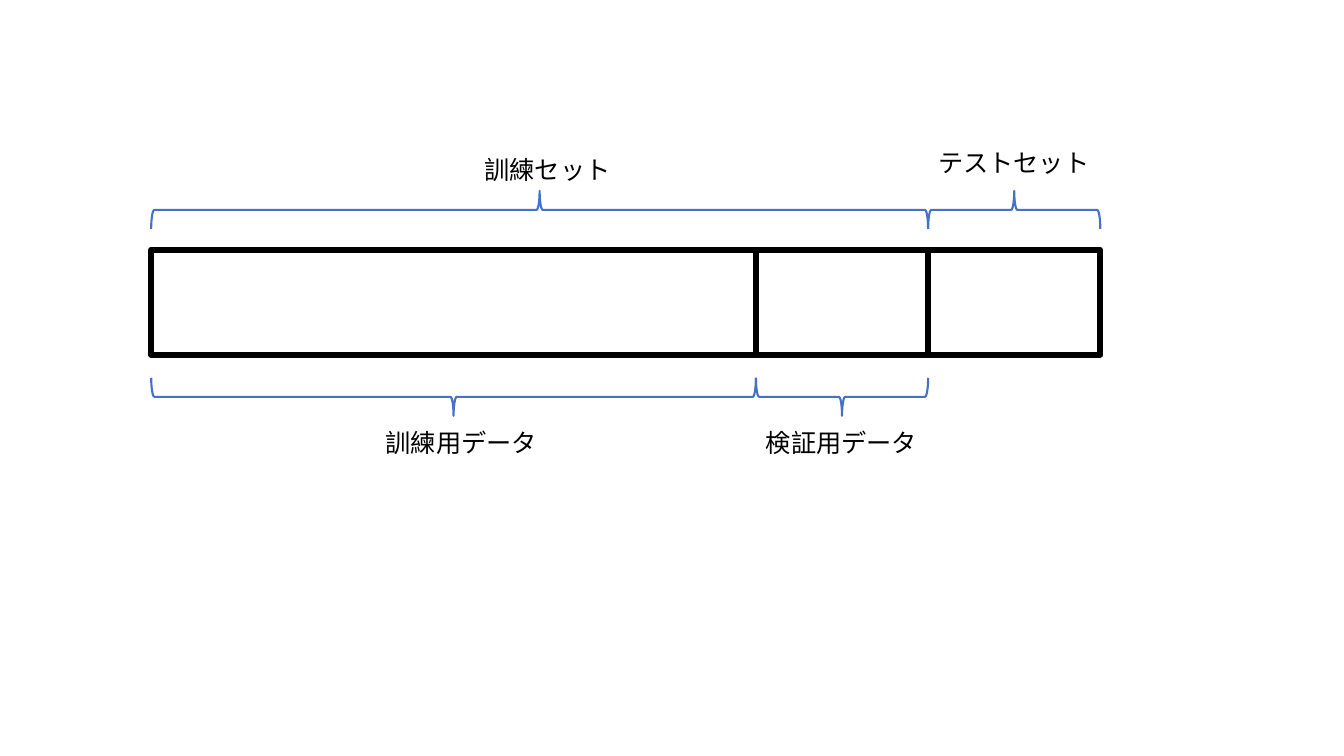
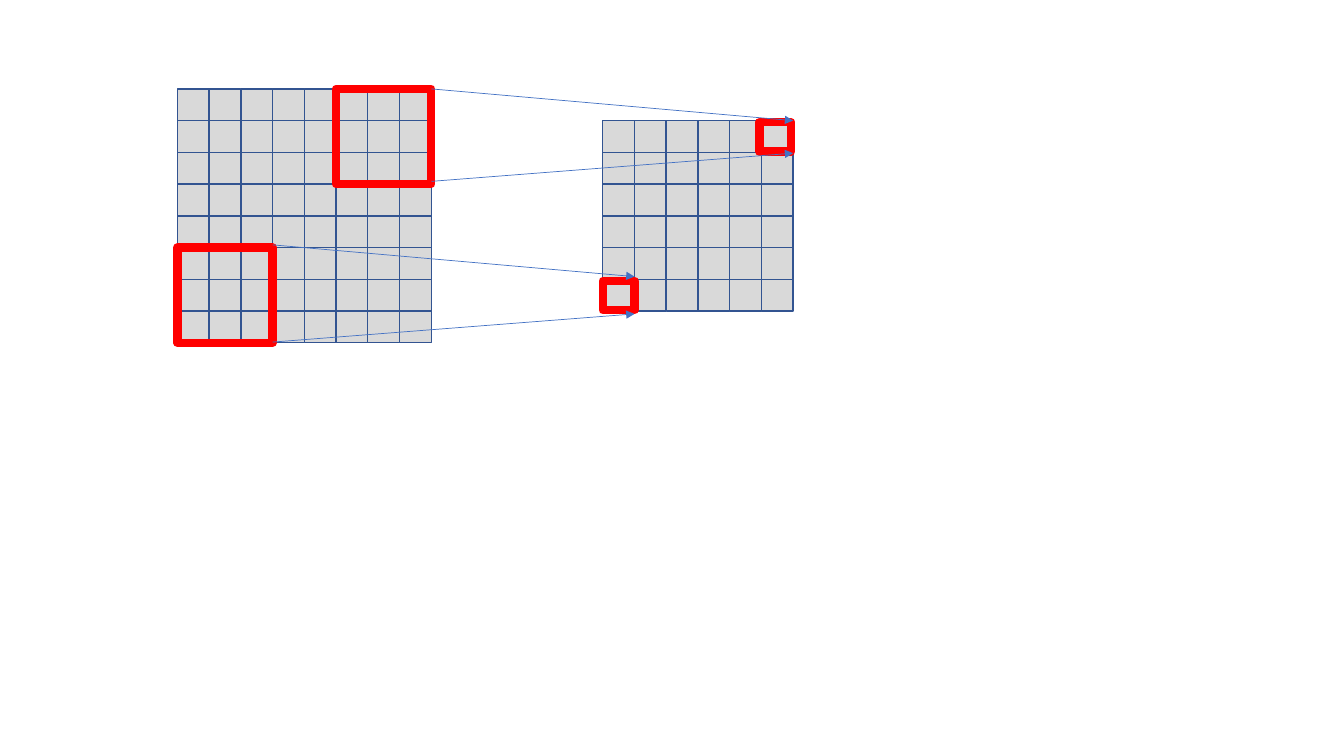
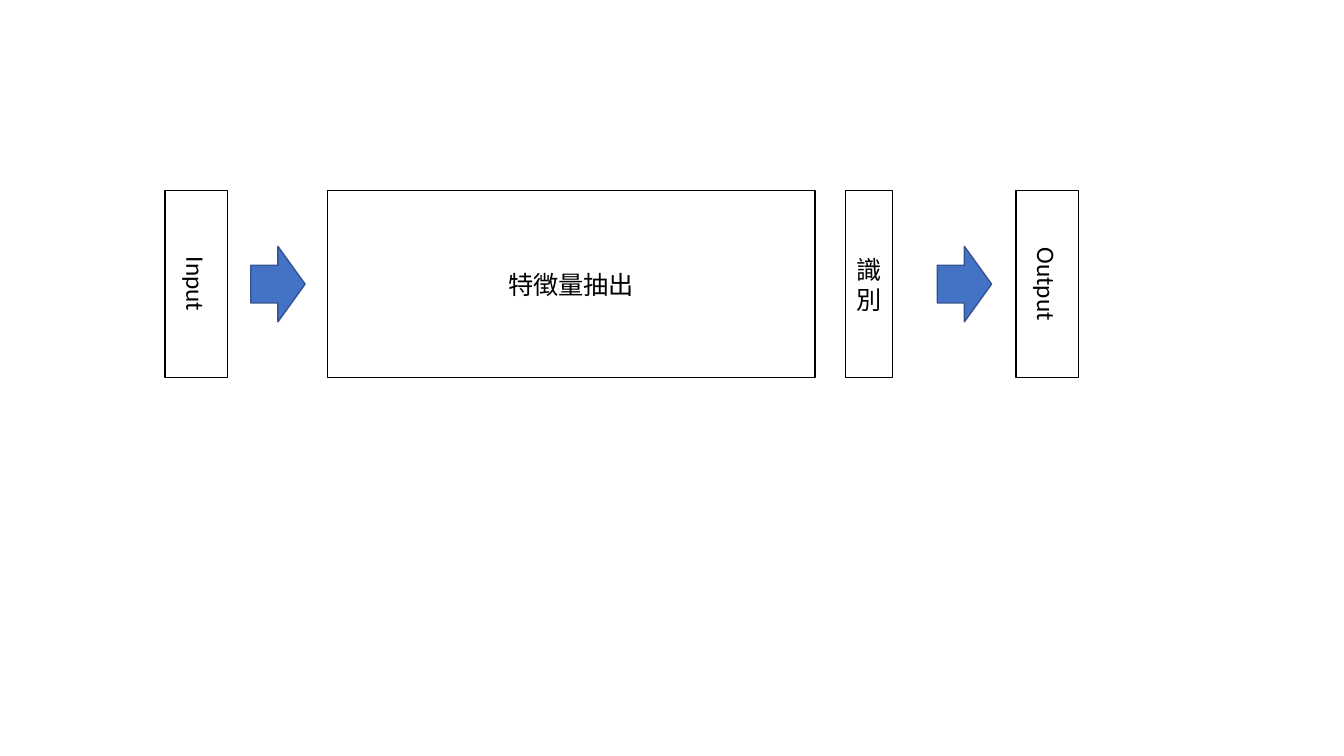
"""Build three diagrams: data split, convolution windows and recognition pipeline."""
from dataclasses import dataclass
from itertools import accumulate, product

from lxml.etree import SubElement
from pptx import Presentation
from pptx.dml.color import RGBColor
from pptx.enum.shapes import MSO_CONNECTOR, MSO_SHAPE
from pptx.enum.text import MSO_ANCHOR, MSO_AUTO_SIZE, PP_ALIGN
from pptx.oxml.ns import qn
from pptx.util import Cm, Pt


@dataclass(frozen=True)
class Theme:
    white: str = "FFFFFF"
    ink: str = "000000"
    blue: str = "4472C4"
    navy: str = "325491"
    grey: str = "D9D9D9"
    red: str = "FF0000"
    latin: str = "Calibri"
    japanese: str = "Noto Sans CJK JP"
    text_size: int = 18
    hairline: float = 0.5
    thin: float = 1
    brace: float = 1.5
    bold: float = 4.5
    frame: float = 6


THEME = Theme()

BAR_LEFT, BAR_TOP, BAR_HEIGHT = 3.81, 6.3, 2.64
PART_WIDTHS = [15.24, 4.34, 4.34]
BRACE_DEPTH, LABEL_HEIGHT = 0.96, 1.02
UPPER_BRACE_TOP, LOWER_BRACE_TOP = 4.81, 9.52
UPWARD, DOWNWARD = 270, 90
BRACES = [
    ("訓練セット", 0, 2, UPPER_BRACE_TOP, UPWARD, (11.96, 3.76, 3.71)),
    ("テストセット", 2, 3, UPPER_BRACE_TOP, UPWARD, (23.39, 3.58, 4.34)),
    ("訓練用データ", 0, 1, LOWER_BRACE_TOP, DOWNWARD, (9.47, 10.64, 4.37)),
    ("検証用データ", 1, 2, LOWER_BRACE_TOP, DOWNWARD, (19.05, 10.64, 4.37)),
]

CELL = 0.8
INPUT_GRID = {"left": 4.47, "top": 2.24, "count": 8}
OUTPUT_GRID = {"left": 15.19, "top": 3.04, "count": 6}
KERNEL = 3
RESULT_INSET, RESULT_HEIGHT = 0.04, 0.74
RAY_DROP, RAY_RISE = 0.8, 0.71
WINDOWS = [
    {"row": 5, "column": 0, "result_shift": 0, "ray_shifts": (-0.07, -0.02)},
    {"row": 0, "column": 5, "result_shift": -0.05, "ray_shifts": (0, -0.07)},
]

STAGE_TOP, STAGE_HEIGHT = 4.8, 4.72
STAGES = [
    ("Input", 4.16, 1.58, True),
    ("特徴量抽出", 8.25, 12.29, False),
    ("識別", 21.31, 1.19, False),
    ("Output", 25.6, 1.58, True),
]
ARROW_LEFTS = [6.32, 23.62]
ARROW_WIDTH, ARROW_HEIGHT = 1.37, 1.9


def add_outline(shapes, kind, box, line, weight, fill=None):
    shape = shapes.add_shape(kind, *map(Cm, box))
    shape.shadow.inherit = False
    if fill:
        shape.fill.solid()
        shape.fill.fore_color.rgb = RGBColor.from_string(fill)
    else:
        shape.fill.background()
    shape.line.color.rgb = RGBColor.from_string(line)
    shape.line.width = Pt(weight)
    return shape


def turned_box(left, top, width, height):
    middle, centre = left + width / 2, top + height / 2
    return middle - height / 2, centre - width / 2, height, width


def write(shape, words, latin, alignment):
    shape.text_frame.text = words
    paragraph = shape.text_frame.paragraphs[0]
    paragraph.alignment = alignment
    for run in paragraph.runs:
        run.font.size = Pt(THEME.text_size)
        run.font.color.rgb = RGBColor.from_string(THEME.ink)
        run.font.name = latin
        SubElement(run._r.get_or_add_rPr(), qn("a:ea"), typeface=THEME.japanese)


def draw_split(shapes):
    edges = list(accumulate(PART_WIDTHS, initial=BAR_LEFT))
    for left, width in zip(edges, PART_WIDTHS):
        add_outline(shapes, MSO_SHAPE.RECTANGLE, (left, BAR_TOP, width, BAR_HEIGHT),
                    THEME.ink, THEME.bold, THEME.white)
    for words, first, last, top, turn, (label_left, label_top, label_width) in BRACES:
        span = edges[last] - edges[first]
        brace = add_outline(shapes, MSO_SHAPE.RIGHT_BRACE,
                            turned_box(edges[first], top, span, BRACE_DEPTH),
                            THEME.blue, THEME.brace)
        brace.rotation = turn
        label = shapes.add_textbox(
            *map(Cm, (label_left, label_top, label_width, LABEL_HEIGHT)))
        label.text_frame.word_wrap = False
        label.text_frame.auto_size = MSO_AUTO_SIZE.SHAPE_TO_FIT_TEXT
        write(label, words, THEME.japanese, PP_ALIGN.LEFT)


def cell_corner(grid, row, column):
    return grid["left"] + column * CELL, grid["top"] + row * CELL


def draw_grid(shapes, grid):
    cells = shapes.add_group_shape().shapes
    for row, column in product(range(grid["count"]), repeat=2):
        add_outline(cells, MSO_SHAPE.RECTANGLE,
                    (*cell_corner(grid, row, column), CELL, CELL),
                    THEME.navy, THEME.thin, THEME.grey)


def add_ray(shapes, start, end):
    ray = shapes.add_connector(MSO_CONNECTOR.STRAIGHT, *map(Cm, (*start, *end)))
    ray.line.color.rgb = RGBColor.from_string(THEME.blue)
    ray.line.width = Pt(THEME.hairline)
    SubElement(ray.line._get_or_add_ln(), qn("a:tailEnd"), type="triangle")
    SubElement(ray._element.spPr, qn("a:effectLst"))


def draw_convolution(shapes):
    for grid in (INPUT_GRID, OUTPUT_GRID):
        draw_grid(shapes, grid)
    side = KERNEL * CELL
    for window in WINDOWS:
        position = window["row"], window["column"]
        left, top = cell_corner(INPUT_GRID, *position)
        result_left, result_top = cell_corner(OUTPUT_GRID, *position)
        result_box = (result_left + window["result_shift"], result_top + RESULT_INSET,
                      CELL, RESULT_HEIGHT)
        for box in ((left, top, side, side), result_box):
            add_outline(shapes, MSO_SHAPE.RECTANGLE, box, THEME.red, THEME.frame)
        upper, lower = window["ray_shifts"]
        for height, slope in ((top + upper, RAY_DROP), (top + side + lower, -RAY_RISE)):
            add_ray(shapes, (left + side, height), (result_left + CELL, height + slope))


def draw_pipeline(shapes):
    for words, left, width, sideways in STAGES:
        box = (left, STAGE_TOP, width, STAGE_HEIGHT)
        stage = add_outline(shapes, MSO_SHAPE.RECTANGLE,
                            turned_box(*box) if sideways else box,
                            THEME.ink, THEME.thin, THEME.white)
        stage.rotation = 90 if sideways else 0
        stage.text_frame.word_wrap = True
        stage.text_frame.vertical_anchor = MSO_ANCHOR.MIDDLE
        write(stage, words, THEME.latin, PP_ALIGN.CENTER)
    arrow_top = STAGE_TOP + (STAGE_HEIGHT - ARROW_HEIGHT) / 2
    for left in ARROW_LEFTS:
        add_outline(shapes, MSO_SHAPE.RIGHT_ARROW,
                    (left, arrow_top, ARROW_WIDTH, ARROW_HEIGHT),
                    THEME.navy, THEME.thin, THEME.blue)


def main():
    deck = Presentation()
    deck.slide_width, deck.slide_height = Cm(33.87), Cm(19.05)
    blank = deck.slide_layouts[6]
    for draw in (draw_split, draw_convolution, draw_pipeline):
        draw(deck.slides.add_slide(blank).shapes)
    deck.save("out.pptx")


if __name__ == "__main__":
    main()
